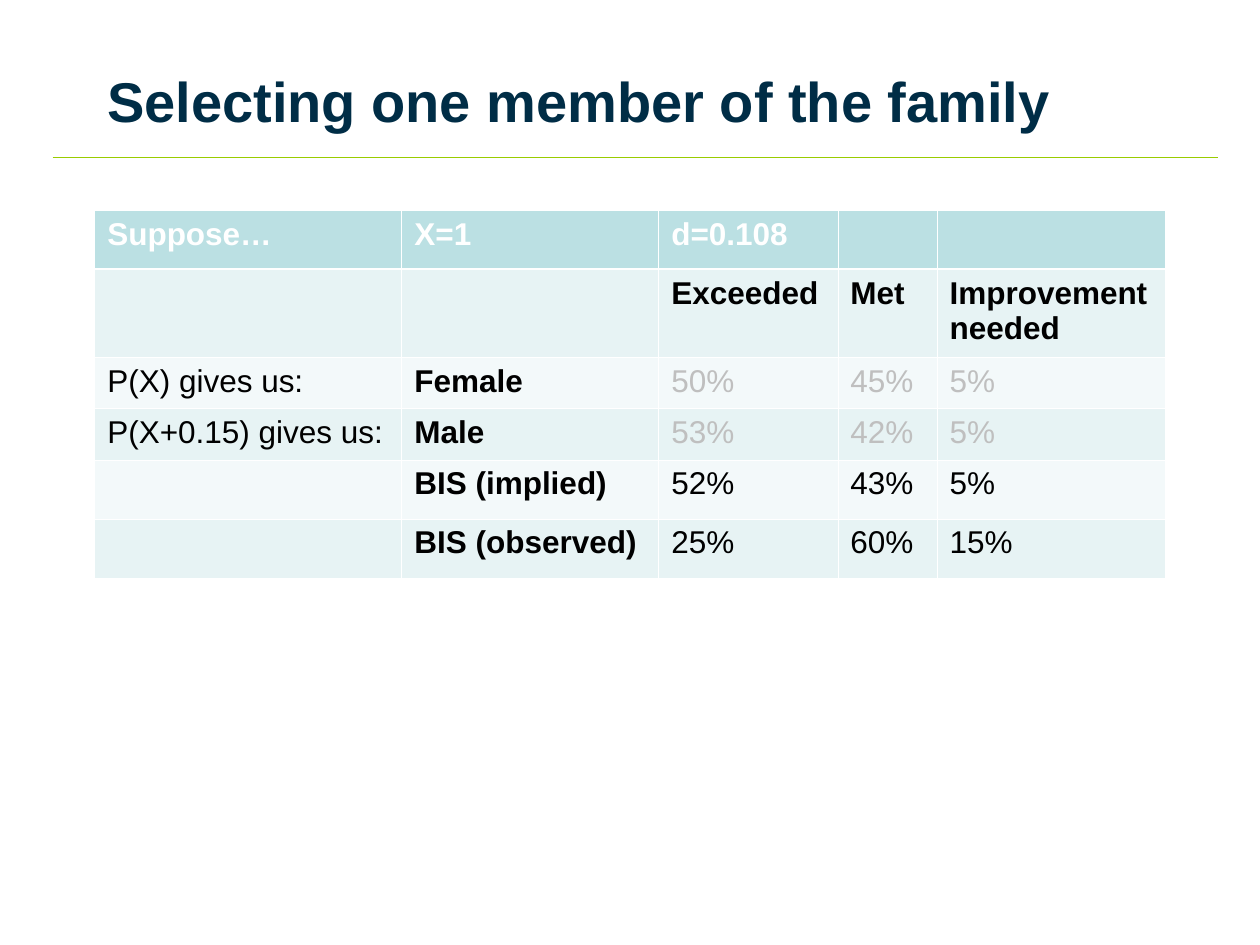
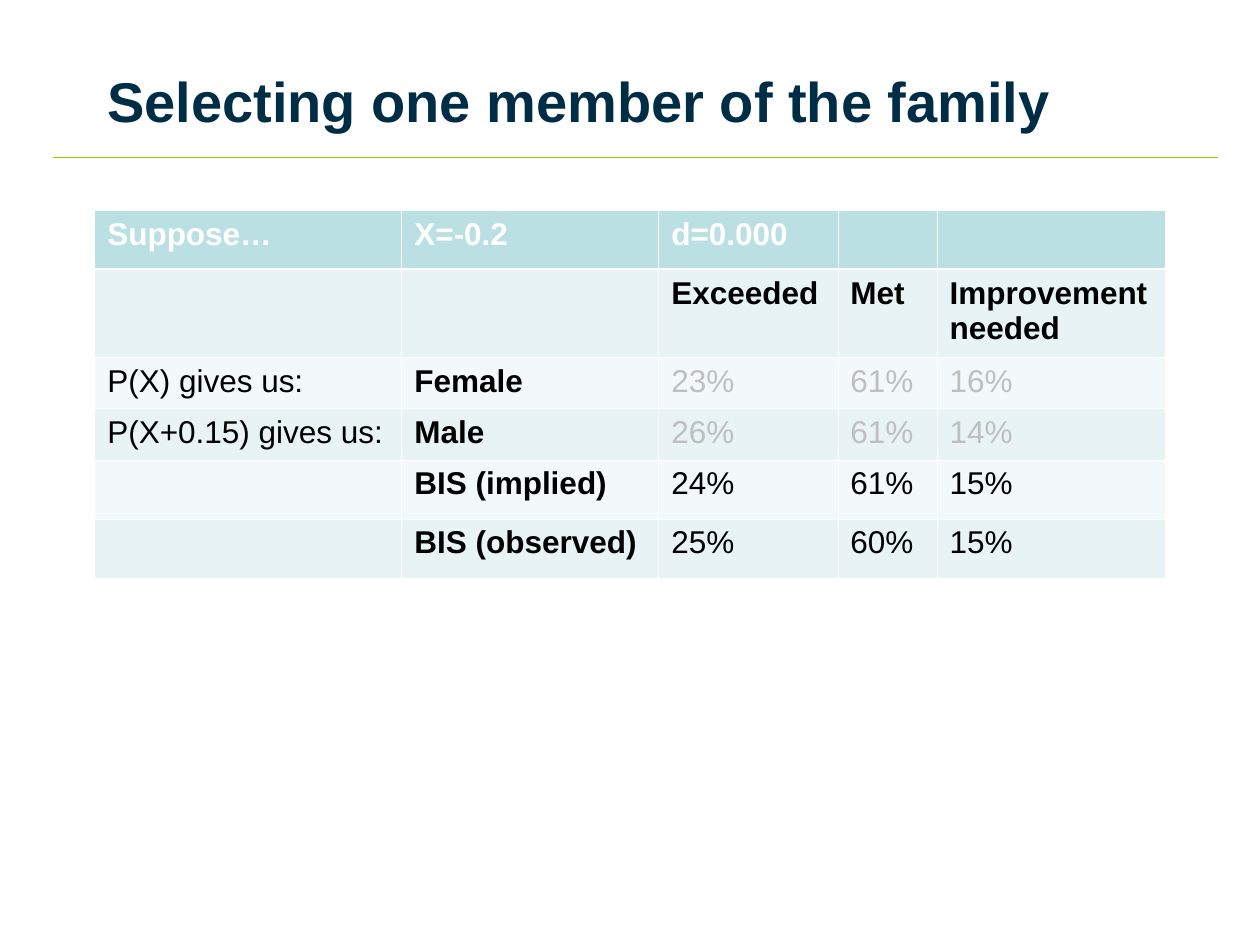
"""Build two slides that compare rating shares for two choices of X."""
from lxml import etree
from pptx import Presentation
from pptx.dml.color import RGBColor
from pptx.enum.shapes import MSO_CONNECTOR
from pptx.enum.text import MSO_ANCHOR, PP_ALIGN
from pptx.oxml.ns import qn
from pptx.util import Cm, Pt

STRAIGHT = MSO_CONNECTOR.STRAIGHT
MIDDLE = MSO_ANCHOR.MIDDLE
LEFT = PP_ALIGN.LEFT

FONT = "Arial"
NAVY = "002D46"
LIME = "99CC00"
WHITE = "FFFFFF"
BLACK = "000000"
GREY = "BFBFBF"
HEADER_FILL = "BBE0E3"
BAND_FILLS = ("F3F9FA", "E7F3F4")

TITLE = "Selecting one member of the family"
COLUMN_WIDTHS = (6.19, 5.18, 3.61, 2.0, 4.6)
ROW_HEIGHTS = (1.18, 1.77, 1.03, 1.04, 1.19, 1.2)
RATINGS = ("Exceeded", "Met", "Improvement needed")
OBSERVED = ("25%", "60%", "15%")
THIN_BORDER = 0.45
THICK_BORDER = 1.47

SCENARIOS = (
    {
        "x": "X=1",
        "d": "d=0.108",
        "female": ("50%", "45%", "5%"),
        "male": ("53%", "42%", "5%"),
        "implied": ("52%", "43%", "5%"),
    },
    {
        "x": "X=-0.2",
        "d": "d=0.000",
        "female": ("23%", "61%", "16%"),
        "male": ("26%", "61%", "14%"),
        "implied": ("24%", "61%", "15%"),
    },
)


def color(hex_string):
    """Return the colour for a hex string."""
    return RGBColor.from_string(hex_string)


def format_paragraph(paragraph, size, hex_color, bold):
    """Set the font of every run in a paragraph."""
    paragraph.alignment = LEFT
    for run in paragraph.runs:
        run.font.name = FONT
        run.font.size = Pt(size)
        run.font.bold = bold
        run.font.color.rgb = color(hex_color)


def add_title(slide, text):
    """Fill and place the title placeholder."""
    title = slide.shapes.title
    title.left, title.top = Cm(1.91), Cm(0.43)
    title.width, title.height = Cm(21.59), Cm(3.18)
    title.text_frame.text = text
    title.text_frame.vertical_anchor = MIDDLE
    format_paragraph(title.text_frame.paragraphs[0], 32, NAVY, True)


def add_title_rule(slide):
    """Draw the thin line under the title."""
    rule = slide.shapes.add_connector(STRAIGHT, Cm(1.06), Cm(3.17), Cm(24.56), Cm(3.17))
    rule.line.color.rgb = color(LIME)
    rule.line.width = Pt(0.75)
    etree.SubElement(rule._element.spPr, qn("a:effectLst"))


def set_borders(cell, top, bottom):
    """Give a cell white borders, with top and bottom widths in points."""
    properties = cell._tc.get_or_add_tcPr()
    widths = {"lnL": THIN_BORDER, "lnR": THIN_BORDER, "lnT": top, "lnB": bottom}
    for side, width in widths.items():
        line = etree.SubElement(properties, qn(f"a:{side}"), w=str(Pt(width)))
        fill = etree.SubElement(line, qn("a:solidFill"))
        etree.SubElement(fill, qn("a:srgbClr"), val=WHITE)


def text_color(row, column):
    """Return the text colour for a place in the table."""
    if row == 0:
        return WHITE
    return GREY if row in (2, 3) and column >= 2 else BLACK


def format_cell(cell, text, row, column):
    """Write one cell and style it by its row and column."""
    set_borders(
        cell,
        THICK_BORDER if row == 1 else THIN_BORDER,
        THICK_BORDER if row == 0 else THIN_BORDER,
    )
    cell.fill.solid()
    cell.fill.fore_color.rgb = color(BAND_FILLS[row % 2] if row else HEADER_FILL)
    cell.text_frame.text = text
    bold = row < 2 or column == 1
    format_paragraph(cell.text_frame.paragraphs[0], 18, text_color(row, column), bold)


def scenario_rows(scenario):
    """Return the table texts for one scenario."""
    return (
        ("Suppose…", scenario["x"], scenario["d"], "", ""),
        ("", "", *RATINGS),
        ("P(X) gives us:", "Female", *scenario["female"]),
        ("P(X+0.15) gives us:", "Male", *scenario["male"]),
        ("", "BIS (implied)", *scenario["implied"]),
        ("", "BIS (observed)", *OBSERVED),
    )


def add_ratings_table(slide, rows):
    """Add the table of rating shares."""
    table = slide.shapes.add_table(
        len(rows), len(COLUMN_WIDTHS), Cm(1.91), Cm(4.25),
        Cm(sum(COLUMN_WIDTHS)), Cm(sum(ROW_HEIGHTS)),
    ).table
    for column, width in zip(table.columns, COLUMN_WIDTHS):
        column.width = Cm(width)
    for row, height in zip(table.rows, ROW_HEIGHTS):
        row.height = Cm(height)
    for row_index, texts in enumerate(rows):
        for column_index, text in enumerate(texts):
            cell = table.cell(row_index, column_index)
            format_cell(cell, text, row_index, column_index)


def main():
    """Build and save the presentation."""
    presentation = Presentation()
    presentation.slide_width, presentation.slide_height = Cm(25.4), Cm(19.05)
    title_only = presentation.slide_layouts.get_by_name("Title Only")
    for scenario in SCENARIOS:
        slide = presentation.slides.add_slide(title_only)
        add_title_rule(slide)
        add_title(slide, TITLE)
        add_ratings_table(slide, scenario_rows(scenario))
    presentation.save("out.pptx")


if __name__ == "__main__":
    main()
